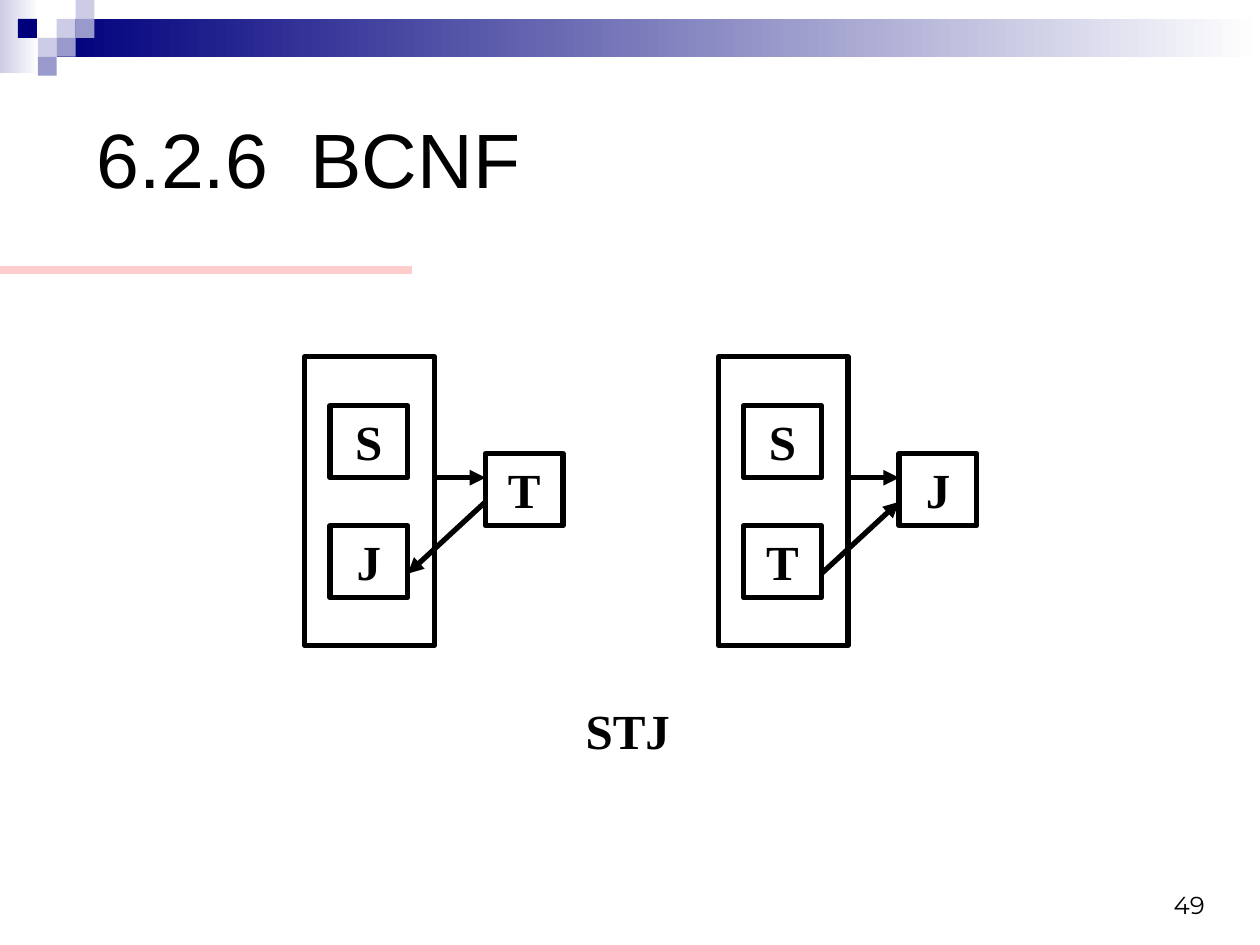
from lxml import etree
from pptx import Presentation
from pptx.dml.color import RGBColor
from pptx.enum.shapes import MSO_CONNECTOR, MSO_SHAPE
from pptx.enum.text import MSO_ANCHOR, PP_ALIGN
from pptx.oxml.ns import qn
from pptx.util import Pt

RECTANGLE = MSO_SHAPE.RECTANGLE
STRAIGHT = MSO_CONNECTOR.STRAIGHT
TOP, MIDDLE, BOTTOM = MSO_ANCHOR.TOP, MSO_ANCHOR.MIDDLE, MSO_ANCHOR.BOTTOM
LEFT, CENTER, RIGHT = PP_ALIGN.LEFT, PP_ALIGN.CENTER, PP_ALIGN.RIGHT

COLORS = {
    "ink": "000000",
    "white": "FFFFFF",
    "navy": "00007D",
    "violet": "9999CC",
    "lilac": "CCCCE6",
    "pink": "FFCCCC",
}
SERIF = "Times New Roman"
TILE = 10.8


def color(name):
    return RGBColor.from_string(COLORS[name])


def write(shape, text, size=28, font=SERIF, bold=True, align=CENTER, anchor=TOP, indent=0):
    frame = shape.text_frame
    frame.word_wrap = True
    frame.vertical_anchor = anchor
    frame.margin_left = Pt(7.2 + indent)
    frame.margin_right = Pt(7.2)
    frame.margin_top = frame.margin_bottom = Pt(3.6)
    para = frame.paragraphs[0]
    para.alignment = align
    span = para.add_run()
    span.text = text
    span.font.size = Pt(size)
    span.font.name = font
    span.font.bold = bold
    span.font.color.rgb = color("ink")


def add_text(parent, box, text, **style):
    shape = parent.shapes.add_textbox(*map(Pt, box))
    write(shape, text, **style)


def add_rectangle(parent, box, fill=None, fade_to=None, outline=None):
    """Draw a rectangle that is empty, plain or fading from left to right."""
    shape = parent.shapes.add_shape(RECTANGLE, *map(Pt, box))
    shape.shadow.inherit = False
    if fade_to:
        shape.fill.gradient()
        shape.fill.gradient_angle = 0
        for stop, position, name in zip(shape.fill.gradient_stops, (0, 1), (fill, fade_to)):
            stop.position = position
            stop.color.rgb = color(name)
    elif fill:
        shape.fill.solid()
        shape.fill.fore_color.rgb = color(fill)
    else:
        shape.fill.background()
    if outline:
        shape.line.color.rgb = color(outline)
        shape.line.width = Pt(3)
    else:
        shape.line.fill.background()
    return shape


def add_line(parent, start, end, name="ink", width=3, arrow=False):
    line = parent.shapes.add_connector(STRAIGHT, *map(Pt, (*start, *end)))
    line.line.color.rgb = color(name)
    line.line.width = Pt(width)
    if arrow:
        etree.SubElement(line.line._get_or_add_ln(), qn("a:tailEnd"), type="triangle")
    etree.SubElement(line._element.spPr, qn("a:effectLst"))


def add_banner(page, left, top, width):
    """Draw the fading bar with its mosaic of small tiles."""
    group = page.shapes.add_group_shape()
    add_rectangle(group, (left, top, 22.3, 41.8), "lilac", "white")
    bar_left = left + 3 * TILE
    add_rectangle(group, (bar_left, top + TILE, width - 3 * TILE, 2 * TILE), "navy", "white")
    tiles = [
        (3, 1, "lilac"), (4, 0, "lilac"), (4, 1, "violet"), (2, 2, "lilac"),
        (0.95, 1, "navy"), (3, 2, "violet"), (2, 3, "violet"),
    ]
    for column, row, name in tiles:
        add_rectangle(group, (left + column * TILE, top + row * TILE, TILE, TILE), name)


def add_dependency(group, left, top, upper, lower, target, reverse):
    """Frame two attributes that determine a target; reverse points the slanted arrow back."""
    width, height = 44.4, 41.2
    frame_width = 74
    inner_left, target_left = left + 14.4, left + 103.2
    add_rectangle(group, (left, top, frame_width, 165), outline="ink")
    places = [
        (upper, inner_left, top + 28),
        (lower, inner_left, top + 96.6),
        (target, target_left, top + 55.4),
    ]
    for text, x, y in places:
        write(add_rectangle(group, (x, y, width, height), outline="ink"), text)
    add_line(group, (left + frame_width, top + 69.2), (target_left, top + 69.2), arrow=True)
    slant = [(inner_left + width, top + 124), (target_left, top + 83)]
    if reverse:
        slant.reverse()
    add_line(group, *slant, arrow=True)


def add_diagram(page, left, top):
    group = page.shapes.add_group_shape()
    add_dependency(group, left, top, "S", "J", "T", reverse=True)
    add_dependency(group, left + 236.4, top, "S", "T", "J", reverse=False)
    add_text(group, (left + 147.8, top + 193, 73.4, 41.2), "STJ")


def main():
    deck = Presentation()
    deck.slide_width, deck.slide_height = Pt(720), Pt(540)
    page = deck.slides.add_slide(deck.slide_layouts[6])
    add_banner(page, 0, 0, 720)
    add_line(page, (0, 154.4), (235.4, 154.4), name="pink", width=4.5)
    add_text(page, (515.5, 491.8, 180, 37.4), "49", size=14, font="Montserrat",
             bold=False, align=RIGHT, anchor=BOTTOM)
    add_text(page, (36, 36, 648, 108), "6.2.6  BCNF", size=44, font="Arial",
             bold=False, align=LEFT, anchor=MIDDLE, indent=12.2)
    add_diagram(page, 174.2, 203.8)
    deck.save("out.pptx")


if __name__ == "__main__":
    main()
